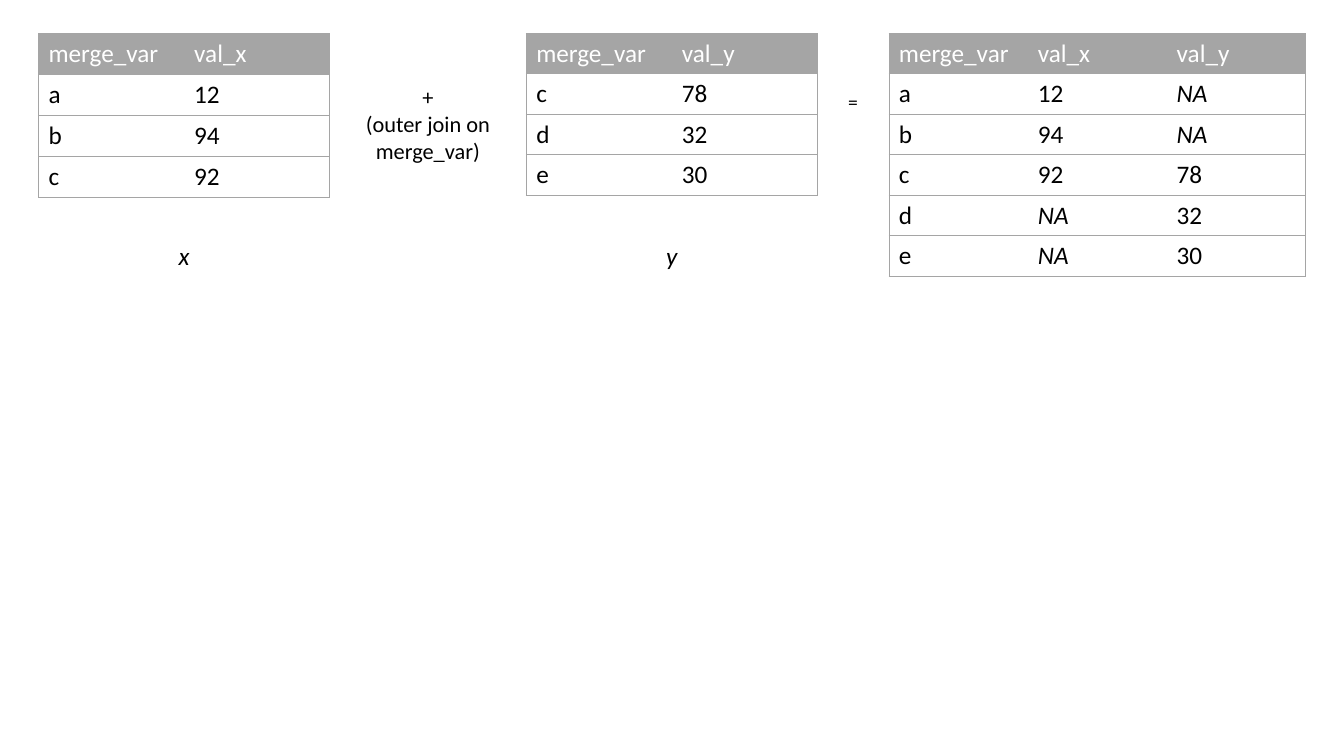
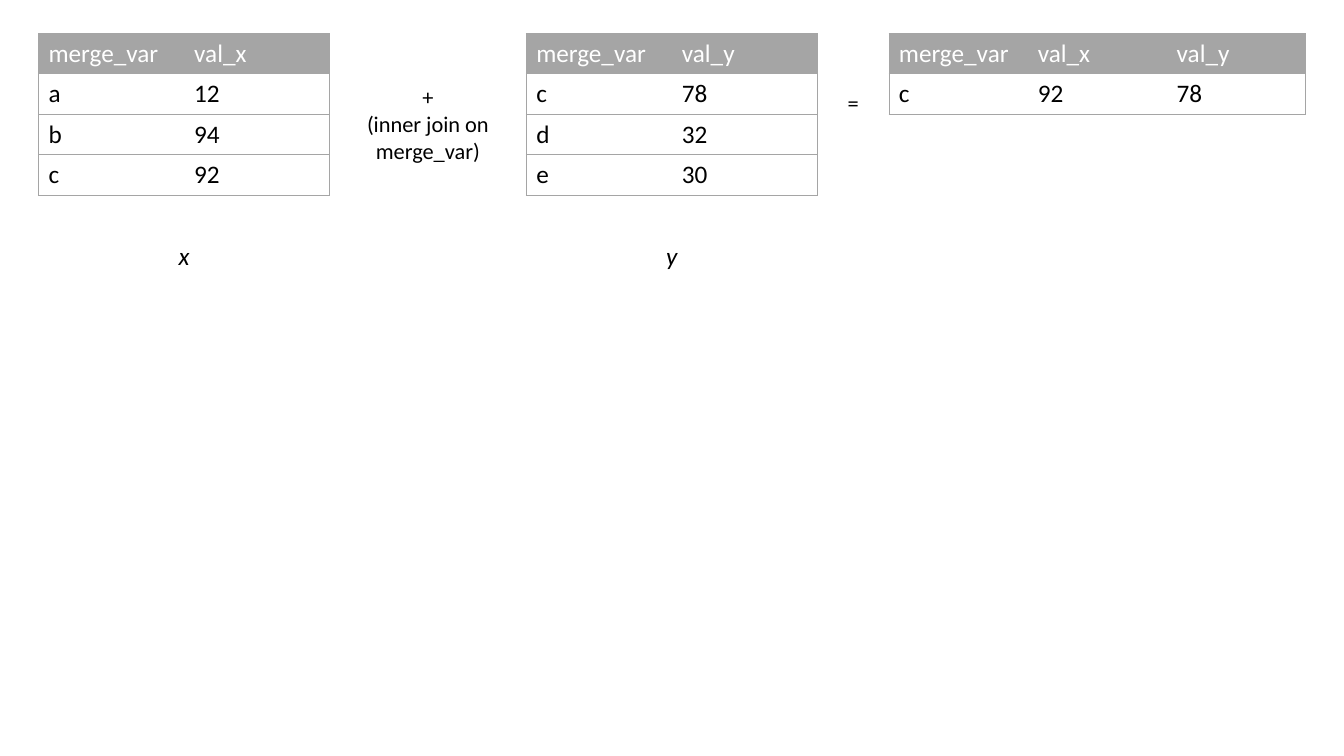
from lxml import etree
from pptx import Presentation, util as u
from pptx.dml.color import RGBColor
from pptx.enum import text
from pptx.oxml.ns import qn

FONT = "Calibri"
GREY, WHITE, BLACK = "A5A5A5", "FFFFFF", "000000"
PLAIN_TABLE_STYLE = "{2D5ABB26-0587-4C30-8999-92F81FD0307C}"

X_ROWS = [("merge_var", "val_x"), ("a", "12"), ("b", "94"), ("c", "92")]
Y_ROWS = [("merge_var", "val_y"), ("c", "78"), ("d", "32"), ("e", "30")]
RESULT_HEADER = ("merge_var", "val_x", "val_y")
JOINS = [
    {
        "operation": "(outer join on merge_var)",
        "equals_size": 14,
        "result": [
            ("a", "12", "NA"),
            ("b", "94", "NA"),
            ("c", "92", "78"),
            ("d", "NA", "32"),
            ("e", "NA", "30"),
        ],
    },
    {
        "operation": "(inner join on merge_var)",
        "equals_size": 16,
        "result": [("c", "92", "78")],
    },
]

TABLE_TOP = u.Cm(0.84)
ROW_HEIGHT = u.Cm(1.02)
INPUT_COLUMN, RESULT_COLUMN = u.Cm(3.67), u.Cm(3.5)
X_LEFT, Y_LEFT, RESULT_LEFT = u.Cm(0.97), u.Cm(13.26), u.Cm(22.4)
NAME_TOP, OPERATION_TOP, EQUALS_TOP = u.Cm(5.94), u.Cm(1.98), u.Cm(2.13)
OPERATION_WIDTH, SYMBOL_WIDTH = u.Cm(3.68), u.Cm(1.52)


def color(value):
    return RGBColor.from_string(value)


def write(frame, lines, size=18, fill=BLACK, italic=False, align=text.PP_ALIGN.CENTER):
    frame.word_wrap = True
    for index, line in enumerate(lines):
        paragraph = frame.paragraphs[0] if index == 0 else frame.add_paragraph()
        paragraph.alignment = align
        run = paragraph.add_run()
        run.text = line
        run.font.name = FONT
        run.font.size = u.Pt(size)
        run.font.bold = False
        run.font.italic = italic
        run.font.color.rgb = color(fill)


def add_label(slide, lines, center, top, width, **style):
    height = u.Pt(len(lines) * style.get("size", 18) * 1.2) + u.Cm(0.25)
    box = slide.shapes.add_textbox(int(center - width / 2), top, width, height)
    write(box.text_frame, lines, **style)


def add_border(cell, sides):
    properties = cell._tc.get_or_add_tcPr()
    for side in sides:
        line = etree.SubElement(properties, qn(f"a:ln{side}"), w=str(u.Pt(0.5)))
        solid = etree.SubElement(line, qn("a:solidFill"))
        etree.SubElement(solid, qn("a:srgbClr"), val=GREY)


def add_data_table(slide, rows, left, column_width):
    last = len(rows[0]) - 1
    table = slide.shapes.add_table(
        len(rows), last + 1, left, TABLE_TOP,
        column_width * (last + 1), ROW_HEIGHT * len(rows),
    ).table
    table.horz_banding = False
    table._tbl.tblPr.find(qn("a:tableStyleId")).text = PLAIN_TABLE_STYLE
    for column in table.columns:
        column.width = column_width
    for row_index, values in enumerate(rows):
        table.rows[row_index].height = ROW_HEIGHT
        is_header = row_index == 0
        for column_index, value in enumerate(values):
            cell = table.cell(row_index, column_index)
            left_side = "L" if column_index == 0 else ""
            right_side = "R" if column_index == last else ""
            add_border(cell, left_side + right_side + "TB")
            if is_header:
                cell.fill.solid()
                cell.fill.fore_color.rgb = color(GREY)
            else:
                cell.fill.background()
            write(cell.text_frame, [value], fill=WHITE if is_header else BLACK,
                  italic=value == "NA", align=text.PP_ALIGN.LEFT)


def add_join_slide(presentation, join):
    slide = presentation.slides.add_slide(presentation.slide_layouts[6])
    for name, rows, left in (("x", X_ROWS, X_LEFT), ("y", Y_ROWS, Y_LEFT)):
        add_data_table(slide, rows, left, INPUT_COLUMN)
        add_label(slide, [name], left + INPUT_COLUMN, NAME_TOP, SYMBOL_WIDTH, italic=True)
    add_data_table(slide, [RESULT_HEADER] + join["result"], RESULT_LEFT, RESULT_COLUMN)

    input_width = 2 * INPUT_COLUMN
    operation_center = (X_LEFT + input_width + Y_LEFT) / 2
    equals_center = (Y_LEFT + input_width + RESULT_LEFT) / 2
    add_label(slide, ["+", join["operation"]], operation_center, OPERATION_TOP,
              OPERATION_WIDTH, size=16)
    add_label(slide, ["="], equals_center, EQUALS_TOP, SYMBOL_WIDTH,
              size=join["equals_size"])


def main():
    presentation = Presentation()
    presentation.slide_width = u.Cm(33.87)
    presentation.slide_height = u.Cm(19.05)
    for join in JOINS:
        add_join_slide(presentation, join)
    presentation.save("out.pptx")


if __name__ == "__main__":
    main()
